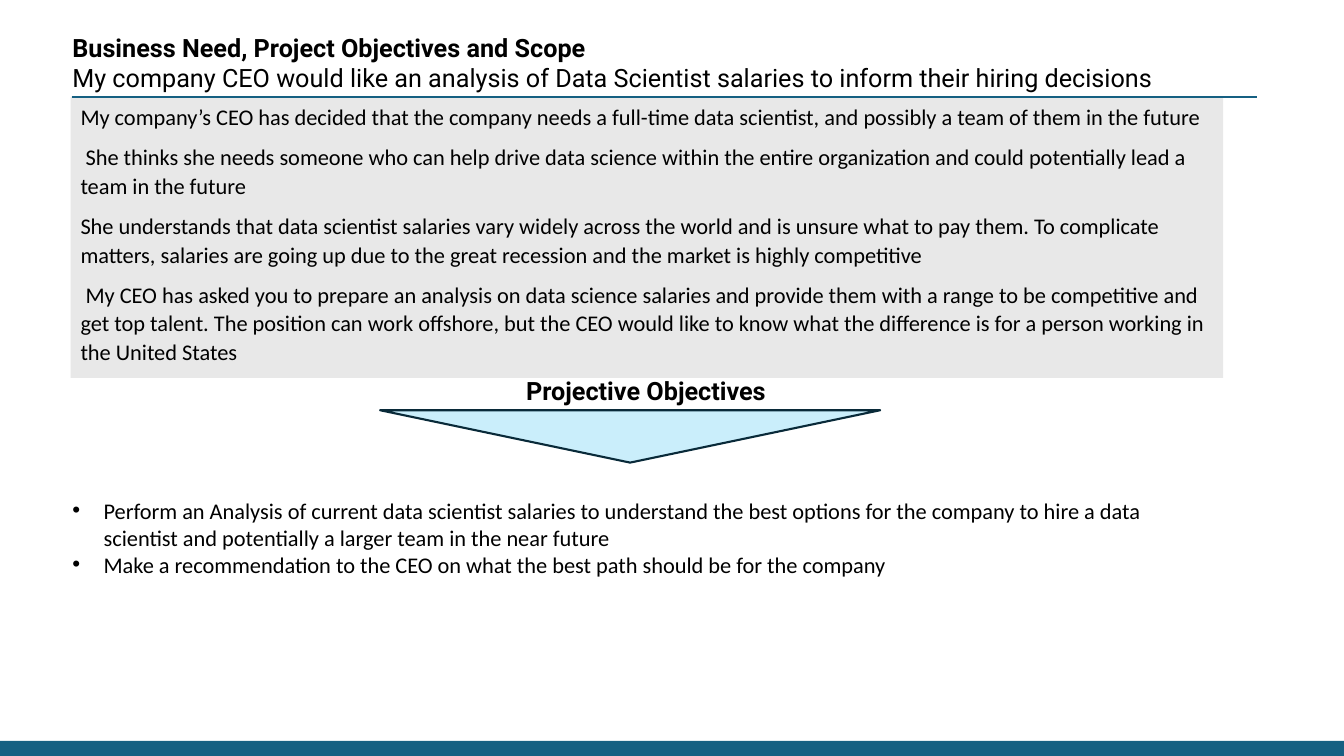
"""Build the business need, objectives and scope slide."""
import pptx
import pptx.dml.color
import pptx.enum.shapes
import pptx.enum.text
import pptx.oxml.ns
import pptx.util
from lxml import etree

RGBColor = pptx.dml.color.RGBColor
Inches = pptx.util.Inches
Pt = pptx.util.Pt
PRESET = pptx.enum.shapes.MSO_SHAPE
qn = pptx.oxml.ns.qn

BLACK = RGBColor(0x00, 0x00, 0x00)
WHITE = RGBColor(0xFF, 0xFF, 0xFF)
GRAY = RGBColor(0xE8, 0xE8, 0xE8)
TEAL = RGBColor(0x15, 0x60, 0x82)
PALE_BLUE = RGBColor(0xCA, 0xEE, 0xFB)
NAVY = RGBColor(0x09, 0x2A, 0x39)

HEADING_STYLE = {"font": "Roboto", "size": 18}
BODY_STYLE = {"font": "Calibri", "size": 16}
LINE_WIDTH = 1.5
BULLET_INDENT = 0.31

HEADING = [
    ("Business Need, Project Objectives and Scope", True),
    ("My company CEO would like an analysis of Data Scientist salaries to inform their hiring decisions", False),
]
NEEDS = [
    ("My company’s CEO has decided that the company needs a full-time data scientist, "
     "and possibly a team of them in the future", False),
    (" She thinks she needs someone who can help drive data science within the entire organization "
     "and could potentially lead a team in the future", False),
    ("She understands that data scientist salaries vary widely across the world and is unsure what to pay them. "
     "To complicate matters, salaries are going up due to the great recession "
     "and the market is highly competitive", False),
    (" My CEO has asked you to prepare an analysis on data science salaries and provide them with a range "
     "to be competitive and get top talent. The position can work offshore, but the CEO would like to know "
     "what the difference is for a person working in the United States", False),
]
OBJECTIVES_LABEL = [("Projective Objectives", True)]
OBJECTIVES = [
    ("Perform an Analysis of current data scientist salaries to understand the best options for the company "
     "to hire a data scientist and potentially a larger team in the near future", False),
    ("Make a recommendation to the CEO on what the best path should be for the company", False),
]

# Left, top, width and height as percentages of the slide.
AREAS = {
    "footer": (0, 98, 100, 2),
    "needs": (5.25, 12.8, 85.75, 37.2),
    "heading": (4.65, 3.6, 90.1, 9.2),
    "label": (38.41, 48.93, 19.65, 5.33),
    "objectives": (4.65, 65.07, 83.72, 12.13),
    "arrow": (28.28, 54.27, 37.21, 6.93),
    "rule": (5.33, 12.8, 88.22, 0),
}


def place(presentation, name):
    left, top, width, height = AREAS[name]
    across, down = presentation.slide_width / 100, presentation.slide_height / 100
    return [round(length) for length in (left * across, top * down, width * across, height * down)]


def add_block(presentation, slide, name, fill, preset=PRESET.RECTANGLE, line=None):
    shape = slide.shapes.add_shape(preset, *place(presentation, name))
    shape.shadow.inherit = False
    shape.fill.solid()
    shape.fill.fore_color.rgb = fill
    if line is None:
        shape.line.fill.background()
    else:
        shape.line.color.rgb = line
        shape.line.width = Pt(LINE_WIDTH)
    return shape


def write(shape, lines, style, spacing=None, after=0, bulleted=False):
    frame = shape.text_frame
    frame.word_wrap = True
    frame.vertical_anchor = pptx.enum.text.MSO_ANCHOR.TOP
    for index, (text, bold) in enumerate(lines):
        paragraph = frame.add_paragraph() if index else frame.paragraphs[0]
        paragraph.alignment = pptx.enum.text.PP_ALIGN.LEFT
        paragraph.line_spacing = spacing
        paragraph.space_after = Pt(after)
        run = paragraph.add_run()
        run.text = text
        run.font.name = style["font"]
        run.font.size = Pt(style["size"])
        run.font.bold = bold
        run.font.color.rgb = BLACK
        if bulleted:
            properties = paragraph._p.get_or_add_pPr()
            properties.set("marL", str(Inches(BULLET_INDENT)))
            properties.set("indent", str(-Inches(BULLET_INDENT)))
            etree.SubElement(properties, qn("a:buFont"), typeface="Arial")
            etree.SubElement(properties, qn("a:buChar"), char="•")


def add_rule(presentation, slide):
    left, top, width, height = place(presentation, "rule")
    rule = slide.shapes.add_connector(
        pptx.enum.shapes.MSO_CONNECTOR.STRAIGHT, left, top, left + width, top + height)
    rule.line.color.rgb = TEAL
    rule.line.width = Pt(LINE_WIDTH)
    etree.SubElement(rule._element.spPr, qn("a:effectLst"))


def main():
    presentation = pptx.Presentation()
    presentation.slide_width = Inches(13.33)
    presentation.slide_height = Inches(7.5)
    slide = presentation.slides.add_slide(presentation.slide_layouts[6])

    add_block(presentation, slide, "footer", TEAL)
    needs = add_block(presentation, slide, "needs", GRAY)
    write(needs, NEEDS, BODY_STYLE, spacing=1.07, after=8)
    for name, lines in (("heading", HEADING), ("label", OBJECTIVES_LABEL)):
        write(slide.shapes.add_textbox(*place(presentation, name)), lines, HEADING_STYLE)
    objectives = add_block(presentation, slide, "objectives", WHITE)
    write(objectives, OBJECTIVES, BODY_STYLE, bulleted=True)
    add_block(presentation, slide, "arrow", PALE_BLUE, PRESET.FLOWCHART_MERGE, NAVY)
    add_rule(presentation, slide)

    presentation.save("out.pptx")


if __name__ == "__main__":
    main()
